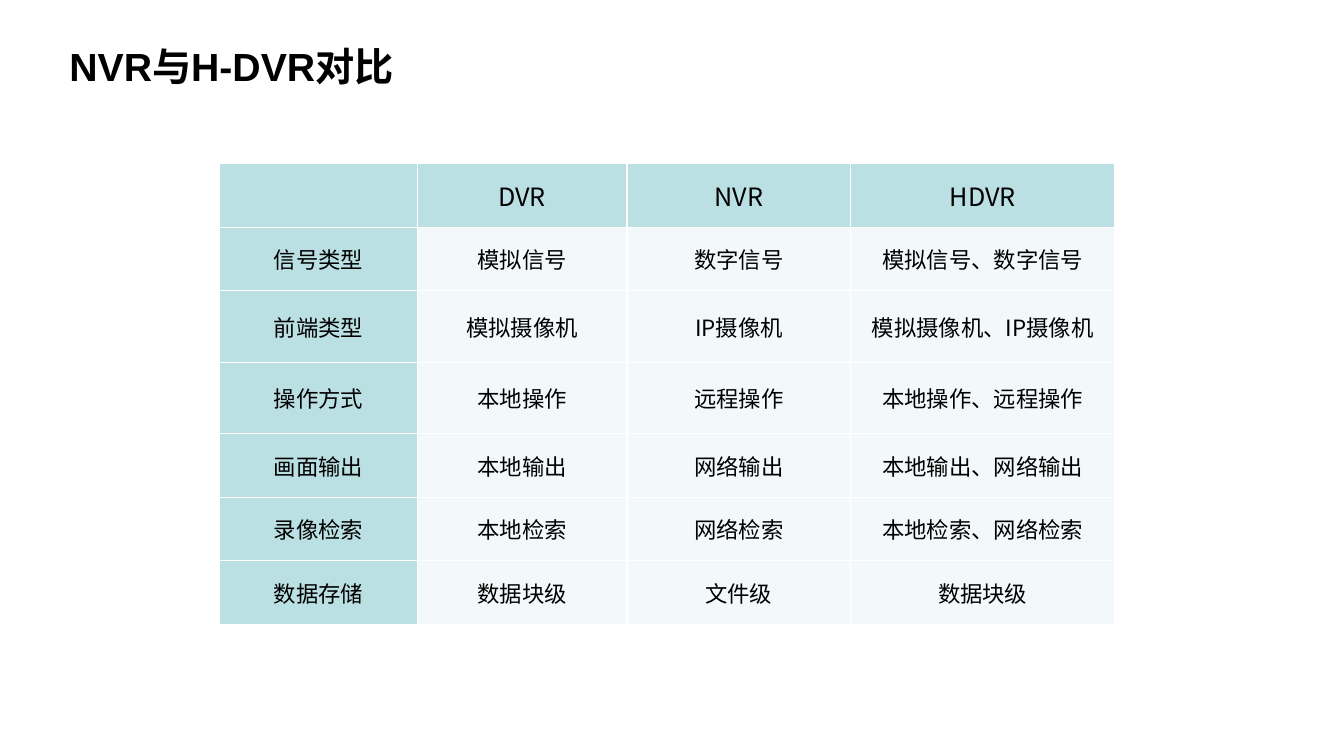
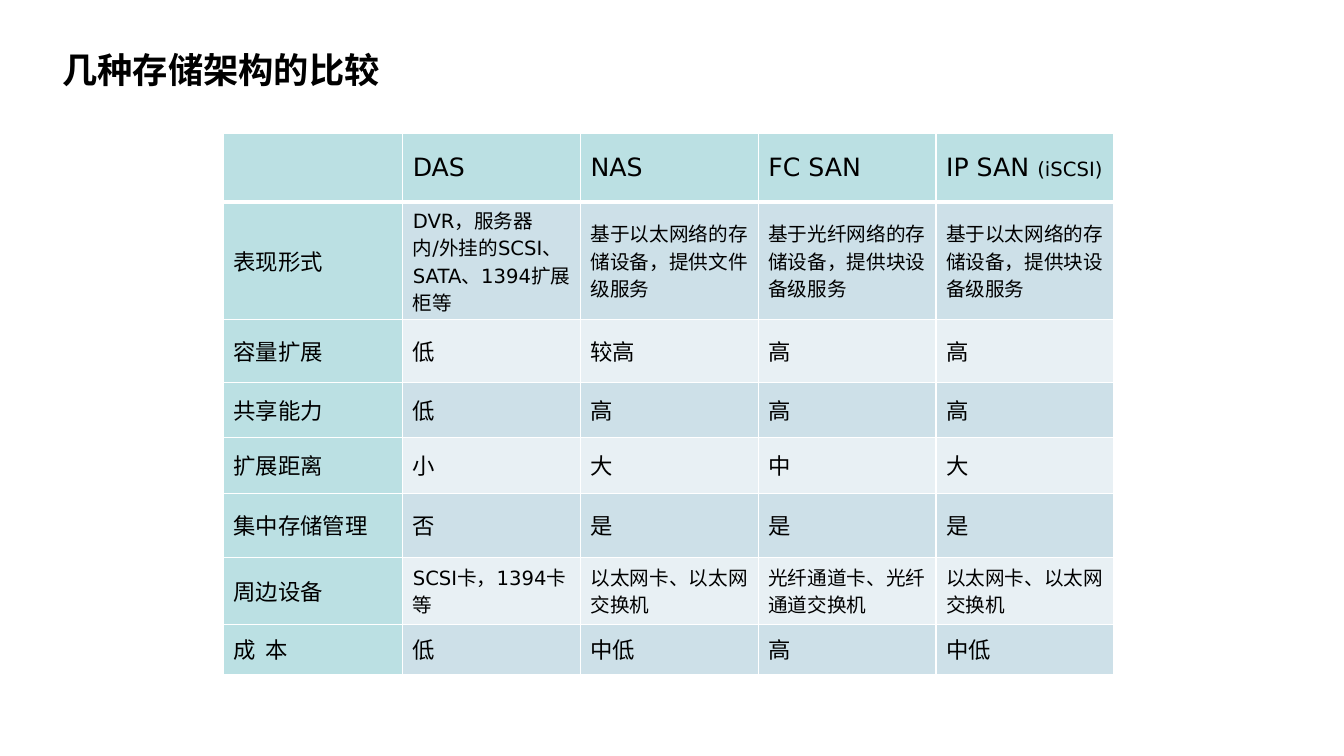
from dataclasses import dataclass

import pptx
import pptx.dml.color
import pptx.enum.text
import pptx.oxml.ns
import pptx.presentation
import pptx.slide
import pptx.table
import pptx.text.text
import pptx.util
from lxml import etree
from pptx.util import Cm, Pt

COLORS = {
    "text": "000000",
    "rule": "FFFFFF",
    "head": "BBE0E3",
    "pale": "F3F9FA",
    "band": "CDE0E8",
    "band_light": "E8F0F4",
}
CJK_FONT = "Noto Sans CJK SC"
HEAD_SIZE, BODY_SIZE, SMALL_SIZE = 18, 16, 14
ALIGN = pptx.enum.text.PP_ALIGN
MIDDLE = pptx.enum.text.MSO_ANCHOR.MIDDLE


@dataclass(frozen=True)
class Title:
    text: str
    left: float
    top: float
    size: float


@dataclass(frozen=True)
class Grid:
    """A table; lengths in cm, and bands are the body fills taken in turn."""
    left: float
    top: float
    cols: list[float]
    heights: list[float]
    rows: list[list[str]]
    font: str
    align: ALIGN
    bands: tuple[str, ...]
    spacing: float = 1.0
    head_rule: float = 1
    small_rows: tuple[int, ...] = ()
    head_note: str = ""


def rgb(name: str) -> pptx.dml.color.RGBColor:
    return pptx.dml.color.RGBColor.from_string(COLORS[name])


def set_font(p: pptx.text.text._Paragraph, name: str, size: float, bold: bool = False) -> None:
    """Give a paragraph its Latin and East Asian fonts."""
    f = p.font
    f.name, f.size, f.bold = name, Pt(size), bold
    f.color.rgb = rgb("text")
    latin = f._element.find(pptx.oxml.ns.qn("a:latin"))
    ea = etree.Element(pptx.oxml.ns.qn("a:ea"), typeface=CJK_FONT)
    latin.addnext(ea)


def add_title(s: pptx.slide.Slide, title: Title) -> None:
    sp = s.shapes.add_textbox(Cm(title.left), Cm(title.top), Cm(25.32), Cm(1.4))
    tf = sp.text_frame
    tf.word_wrap = True
    tf.vertical_anchor = MIDDLE
    p = tf.paragraphs[0]
    p.text = title.text
    set_font(p, "Arial", title.size, bold=True)


def set_borders(cell: pptx.table._Cell, top: float, bottom: float) -> None:
    qn = pptx.oxml.ns.qn
    tc_pr = cell._tc.get_or_add_tcPr()
    for side, width in (("L", 1), ("R", 1), ("T", top), ("B", bottom)):
        ln = etree.SubElement(tc_pr, qn(f"a:ln{side}"), w=str(Pt(width)))
        fill = etree.SubElement(ln, qn("a:solidFill"))
        etree.SubElement(fill, qn("a:srgbClr"), val=COLORS["rule"])


def fill_cell(cell: pptx.table._Cell, grid: Grid, row: int, col: int) -> None:
    set_borders(cell, top=grid.head_rule if row == 1 else 1,
                bottom=grid.head_rule if row == 0 else 1)
    is_head = row == 0 or col == 0
    cell.fill.solid()
    cell.fill.fore_color.rgb = rgb("head" if is_head else grid.bands[(row - 1) % len(grid.bands)])
    cell.vertical_anchor = MIDDLE
    if row == 0:
        size = HEAD_SIZE
    elif col and row in grid.small_rows:
        size = SMALL_SIZE
    else:
        size = BODY_SIZE
    p = cell.text_frame.paragraphs[0]
    p.text = grid.rows[row][col]
    p.alignment = grid.align
    p.line_spacing = grid.spacing
    set_font(p, grid.font, size)
    if grid.head_note and row == 0 and col == len(grid.cols) - 1:
        r = p.add_run()
        r.text = grid.head_note
        r.font.size = Pt(SMALL_SIZE)


def add_grid(s: pptx.slide.Slide, grid: Grid) -> None:
    table = s.shapes.add_table(len(grid.rows), len(grid.cols), Cm(grid.left), Cm(grid.top),
                               Cm(sum(grid.cols)), Cm(sum(grid.heights))).table
    table.first_row = table.horz_banding = False
    for column, width in zip(table.columns, grid.cols):
        column.width = Cm(width)
    for i, height in enumerate(grid.heights):
        table.rows[i].height = Cm(height)
        for j in range(len(grid.cols)):
            fill_cell(table.cell(i, j), grid, i, j)


RECORDERS = Grid(
    left=5.54, top=4.13, cols=[4.98, 5.28, 5.64, 6.65],
    heights=[1.6, 1.6, 1.8, 1.8, 1.6, 1.6, 1.6],
    font=CJK_FONT, align=ALIGN.CENTER, bands=("pale",),
    rows=[
        ["", "DVR", "NVR", "HDVR"],
        ["信号类型", "模拟信号", "数字信号", "模拟信号、数字信号"],
        ["前端类型", "模拟摄像机", "IP摄像机", "模拟摄像机、IP摄像机"],
        ["操作方式", "本地操作", "远程操作", "本地操作、远程操作"],
        ["画面输出", "本地输出", "网络输出", "本地输出、网络输出"],
        ["录像检索", "本地检索", "网络检索", "本地检索、网络检索"],
        ["数据存储", "数据块级", "文件级", "数据块级"],
    ],
)

STORAGE = Grid(
    left=5.63, top=3.36, cols=[4.52] + [4.48] * 4,
    heights=[1.73, 2.97, 1.57, 1.4, 1.4, 1.63, 1.68, 1.27],
    font="DejaVu Sans", align=ALIGN.LEFT, bands=("band", "band_light"),
    spacing=0.95, head_rule=3, small_rows=(1, 6), head_note="(iSCSI)",
    rows=[
        ["", "DAS", "NAS", "FC SAN", "IP SAN "],
        ["表现形式", "DVR，服务器内/外挂的SCSI、SATA、1394扩展柜等",
         "基于以太网络的存储设备，提供文件级服务",
         "基于光纤网络的存储设备，提供块设备级服务",
         "基于以太网络的存储设备，提供块设备级服务"],
        ["容量扩展", "低", "较高", "高", "高"],
        ["共享能力", "低", "高", "高", "高"],
        ["扩展距离", "小", "大", "中", "大"],
        ["集中存储管理", "否", "是", "是", "是"],
        ["周边设备", "SCSI卡，1394卡等", "以太网卡、以太网交换机",
         "光纤通道卡、光纤通道交换机", "以太网卡、以太网交换机"],
        ["成  本", "低", "中低", "高", "中低"],
    ],
)

SLIDES = [
    (Title("NVR与H-DVR对比", left=1.5, top=0.97, size=28), RECORDERS),
    (Title("几种存储架构的比较", left=1.32, top=1.04, size=25.2), STORAGE),
]


def main() -> None:
    prs = pptx.Presentation()
    prs.slide_width, prs.slide_height = Cm(33.87), Cm(19.05)
    for title, grid in SLIDES:
        s = prs.slides.add_slide(prs.slide_layouts[6])
        add_title(s, title)
        add_grid(s, grid)
    prs.save("out.pptx")


if __name__ == "__main__":
    main()
